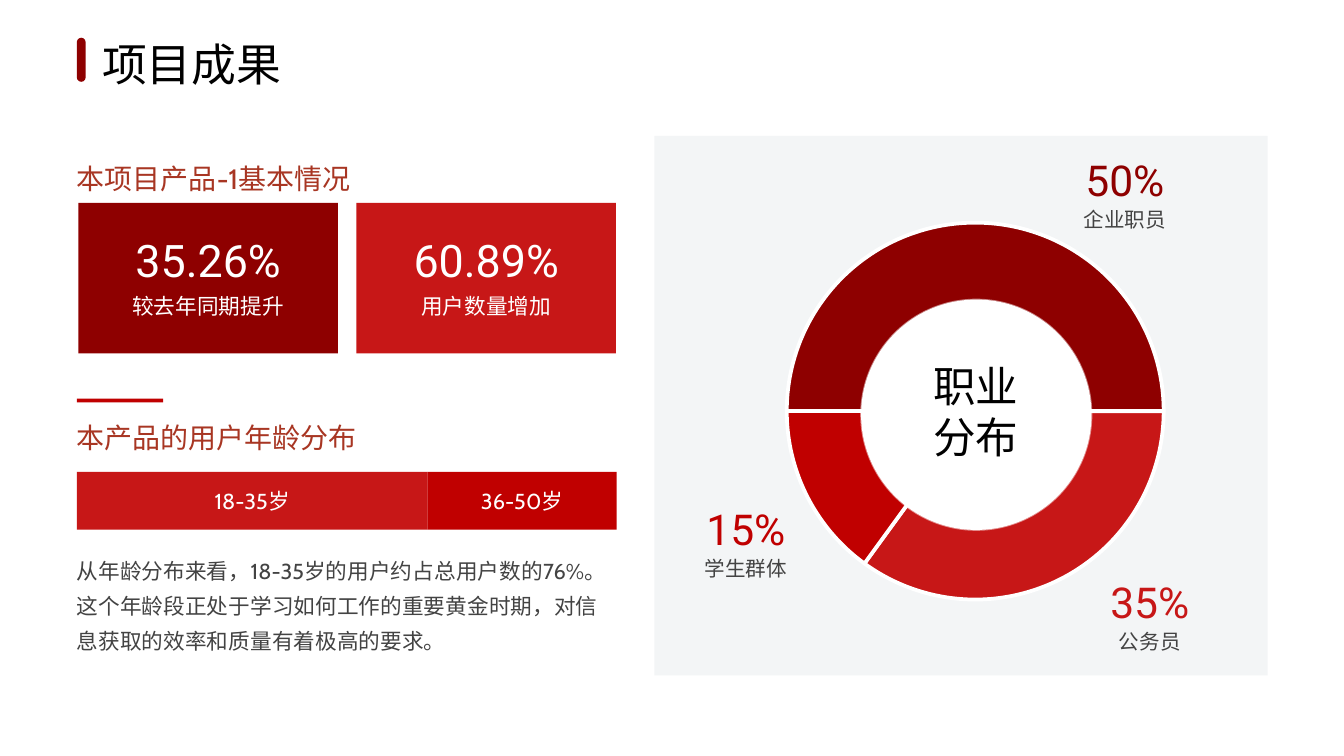
from lxml.etree import SubElement
from pptx import Presentation
from pptx.chart.data import CategoryChartData
from pptx.dml.color import RGBColor
from pptx.enum.chart import XL_CHART_TYPE
from pptx.enum.shapes import MSO_SHAPE
from pptx.enum.text import MSO_ANCHOR, MSO_AUTO_SIZE, PP_ALIGN
from pptx.oxml import parse_xml
from pptx.oxml.ns import nsdecls, qn
from pptx.util import Pt

DARK, RED, DEEP, HEAD = "8E0000", "C71717", "C00000", "A83623"
GREY, PALE, WHITE, BLACK = "434343", "F3F5F6", "FFFFFF", "000000"
LEFT, MID = PP_ALIGN.LEFT, PP_ALIGN.CENTER


def tint(code):
    return RGBColor.from_string(code)


class Deck:
    font, digit = "Cabin", "Roboto"

    def __init__(self, wide, high):
        self.prs = Presentation()
        self.prs.slide_width, self.prs.slide_height = Pt(wide), Pt(high)
        self.slide = self.prs.slides.add_slide(self.prs.slide_layouts[1])

    def label(self, shape, lines, size, color, align=MID, lead=None,
              font=None, anchor=MSO_ANCHOR.MIDDLE, wrap=True):
        frame = shape.text_frame
        frame.auto_size = MSO_AUTO_SIZE.NONE
        frame.word_wrap, frame.vertical_anchor = wrap, anchor
        frame.margin_left = frame.margin_right = 0
        frame.margin_top = frame.margin_bottom = 0
        for i, line in enumerate(lines):
            para = frame.add_paragraph() if i else frame.paragraphs[0]
            para.alignment, para.space_before = align, Pt(0)
            if lead:
                para.line_spacing = Pt(lead)
            run = para.add_run()
            run.text = line
            run.font.name, run.font.size = font or self.font, Pt(size)
            run.font.color.rgb = tint(color)

    def hold(self, index, box, lines, size, color, **style):
        """Fill a placeholder of the layout as plain, left-aligned text."""
        shape = self.slide.placeholders[index]
        shape.left, shape.top, shape.width, shape.height = map(Pt, box)
        self.label(shape, lines, size, color, LEFT, **style)
        for para in shape.text_frame.paragraphs:
            props = para._p.get_or_add_pPr()
            props.set("marL", "0")
            props.set("indent", "0")
            props.append(parse_xml(f"<a:buNone {nsdecls('a')}/>"))

    def text(self, box, lines, size, color, **style):
        shape = self.slide.shapes.add_textbox(*map(Pt, box))
        self.label(shape, lines, size, color, **style)

    def block(self, box, color, kind=MSO_SHAPE.RECTANGLE):
        shape = self.slide.shapes.add_shape(kind, *map(Pt, box))
        shape.shadow.inherit = False
        shape.fill.solid()
        shape.fill.fore_color.rgb = tint(color)
        shape.line.fill.background()
        return shape

    def stat(self, x, y, value, name, big, small, gap, color, tone):
        """Number centred on (x, y), with its name a gap below."""
        self.text((x - 60, y - 8, 120, 16), [value], big, color,
                  font=self.digit)
        self.text((x - 60, y + gap - 4, 120, 8), [name], small, tone)

    def pie(self, box, values, colors, size):
        data = CategoryChartData()
        data.categories = [str(i + 1) for i in range(len(values))]
        data.add_series("Series 1", values)
        chart = self.slide.shapes.add_chart(
            XL_CHART_TYPE.PIE, *map(Pt, box), data).chart
        chart.has_legend = chart.has_title = False
        chart.font.name, chart.font.size = self.font, Pt(10)
        chart.font.color.rgb = tint(BLACK)
        plot = chart.plots[0]
        plot.vary_by_categories = True
        for i, color in enumerate(colors):
            form = plot.series[0].points[i].format
            form.fill.solid()
            form.fill.fore_color.rgb = tint(color)
            form.line.color.rgb, form.line.width = tint(WHITE), Pt(2)
        # Start angle and a fixed, centred plot area
        root = chart._chartSpace
        pie = root.find(".//" + qn("c:pieChart"))
        for old in pie.findall(qn("c:firstSliceAng")):
            pie.remove(old)
        SubElement(pie, qn("c:firstSliceAng")).set("val", "270")
        area = root.find(".//" + qn("c:plotArea"))
        for old in area.findall(qn("c:layout")):
            area.remove(old)
        w, h = size / box[2], size / box[3]
        rule = {"layoutTarget": "inner", "xMode": "edge", "yMode": "edge",
                "x": (1 - w) / 2, "y": (1 - h) / 2, "w": w, "h": h}
        parts = "".join(f'<c:{k} val="{v}"/>' for k, v in rule.items())
        area.insert(0, parse_xml(
            f"<c:layout {nsdecls('c')}><c:manualLayout>{parts}"
            "</c:manualLayout></c:layout>"))


def main():
    deck = Deck(720, 405)
    edge = 41.2

    # Title and panel
    deck.hold(0, (54.7, 19.4, 110, 30), ["项目成果"], 24, BLACK,
              anchor=MSO_ANCHOR.TOP, wrap=False)
    bar = deck.block((edge, 20.2, 4.7, 23.6), DARK,
                     MSO_SHAPE.ROUNDED_RECTANGLE)
    bar.adjustments[0] = 0.5
    deck.block((350.6, 72.8, 328.5, 289), PALE)

    # Section heads and summary
    top = MSO_ANCHOR.TOP
    deck.text((edge, 72.8, 251, 33), ["本项目产品-1基本情况"], 15, HEAD,
              align=LEFT, lead=31.5, anchor=top)
    deck.block((edge, 213.6, 46.2, 2), DEEP)
    deck.text((edge, 229, 168, 14.4), ["本产品的用户年龄分布"], 15, HEAD,
              align=LEFT, lead=14.4, anchor=top)
    deck.hold(1, (edge, 293.8, 289.4, 59),
              ["从年龄分布来看，18-35岁的用户约占总用户数的76%。这个年龄段"
               "正处于学习如何工作的重要黄金时期，对信息获取的效率和质量有着"
               "极高的要求。"],
              11.6, GREY, lead=18.9, anchor=top)

    # Key figures
    cards = [("35.26%", "较去年同期提升", DARK),
             ("60.89%", "用户数量增加", RED)]
    for i, (value, name, color) in enumerate(cards):
        x = 42 + i * 149
        deck.block((x, 108.7, 139, 80.6), color)
        deck.stat(x + 69.5, 139.3, value, name, 24, 11.6, 24.8,
                  WHITE, WHITE)

    # Age split
    x = edge
    for name, width, color in [("18-35岁", 187.8, RED),
                               ("36-50岁", 101.4, DEEP)]:
        part = deck.block((x, 252.8, width, 31), color)
        deck.label(part, [name], 11.6, WHITE)
        x += width

    # Job ring
    jobs = [(50, "企业职员", DARK, 602.6, 96.1),
            (35, "公务员", RED, 616, 322.2),
            (15, "学生群体", DEEP, 399.6, 283.3)]
    deck.pie((371, 108.7, 303, 223.2), [job[0] for job in jobs],
             [job[2] for job in jobs], 202)
    hole = deck.block((461.3, 160.5, 123.4, 123.4), WHITE, MSO_SHAPE.OVAL)
    hole.line.color.rgb, hole.line.width = tint(WHITE), Pt(0.95)
    shade = hole.line._ln.find(".//" + qn("a:srgbClr"))
    SubElement(shade, qn("a:alpha")).set("val", "50000")
    deck.text((478, 211.7, 89.3, 17.3), ["职业", "分布"], 22.8, BLACK)
    for share, name, color, x, y in jobs:
        deck.stat(x, y, f"{share}%", name, 22.8, 11, 21.3, color, GREY)

    deck.prs.save("out.pptx")


if __name__ == "__main__":
    main()
